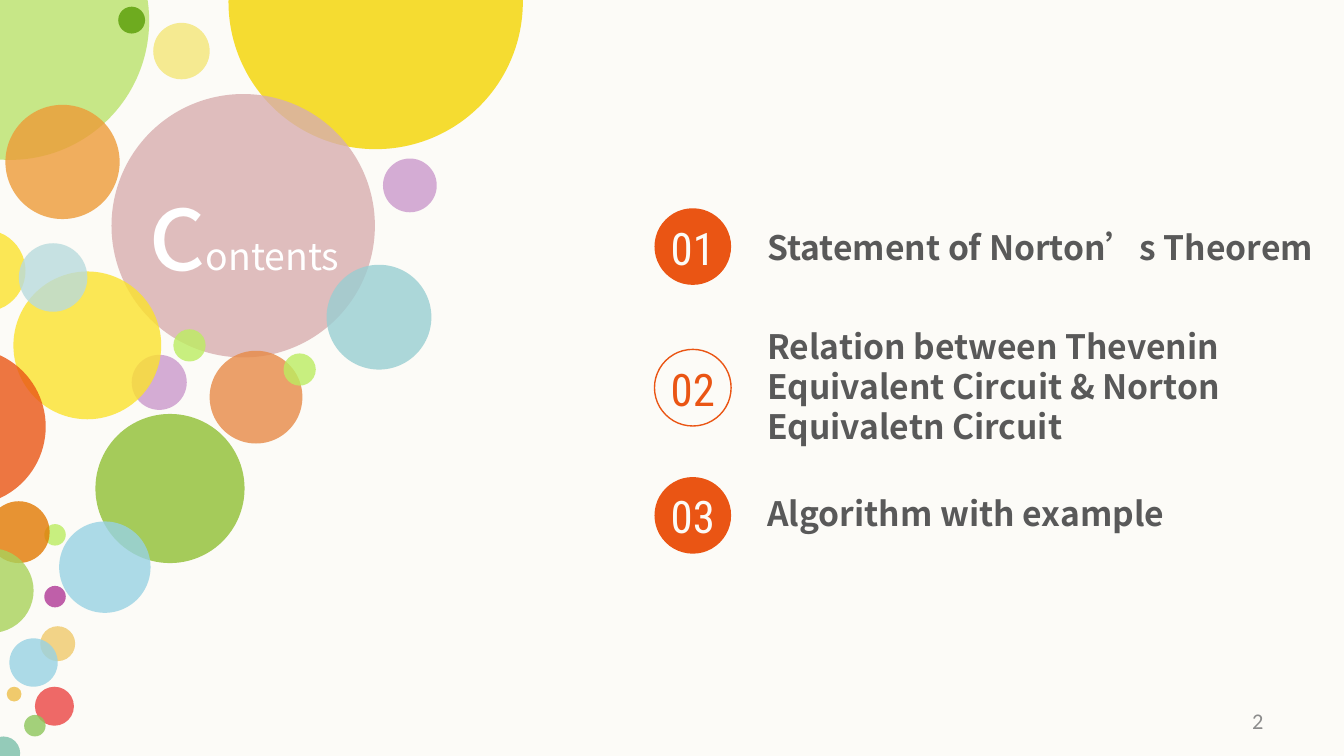
import pptx
import pptx.dml.color
import pptx.enum.shapes
import pptx.enum.text
import pptx.oxml.ns
import pptx.util
from lxml import etree
from pptx.dml.color import RGBColor
from pptx.util import Inches

BACKGROUND = RGBColor(0xFC, 0xFB, 0xF7)
WHITE = RGBColor(0xFF, 0xFF, 0xFF)
ORANGE = RGBColor(0xEA, 0x55, 0x14)
DARK_GREY = RGBColor(0x59, 0x59, 0x59)
PAGE_GREY = RGBColor(0x8C, 0x8C, 0x8C)
LIME = RGBColor(0xBC, 0xED, 0x61)
SOFT_LIME = RGBColor(0xBA, 0xE3, 0x6B)
LEAF = RGBColor(0x6E, 0xAB, 0x1F)
GRASS = RGBColor(0xA5, 0xCB, 0x5A)
LIGHT_GRASS = RGBColor(0xA9, 0xD2, 0x5A)
GREEN = RGBColor(0x8D, 0xC6, 0x5B)
SEA_GREEN = RGBColor(0x7B, 0xBF, 0xAA)
APRICOT = RGBColor(0xED, 0x9B, 0x38)
COPPER = RGBColor(0xE7, 0x8A, 0x47)
AMBER = RGBColor(0xE2, 0x79, 0x02)
CREAM = RGBColor(0xF5, 0xEA, 0x91)
GOLD = RGBColor(0xF4, 0xD5, 0x00)
YELLOW = RGBColor(0xFB, 0xE2, 0x2D)
SAND = RGBColor(0xF0, 0xCA, 0x6C)
ROSE = RGBColor(0xD8, 0xAE, 0xAF)
LILAC = RGBColor(0xCB, 0x99, 0xCC)
PURPLE = RGBColor(0xB0, 0x38, 0x96)
RED = RGBColor(0xEB, 0x45, 0x44)
TEAL = RGBColor(0x99, 0xCE, 0xD2)
PALE_TEAL = RGBColor(0xB9, 0xDB, 0xDD)
SKY = RGBColor(0x98, 0xD2, 0xE3)

TEXT_FONT = "Noto Sans CJK SC"
NUMBER_FONT = "Roboto Condensed"
PAGE_FONT = "Calibri"

# Left, top, diameter, colour, opacity in percent; from back to front
BUBBLES = [
    (-0.96, -0.88, 2.07, SOFT_LIME, 80),
    (0.88, 0.05, 0.2, LEAF, 100),
    (0.04, 0.78, 0.85, APRICOT, 80),
    (1.14, 0.17, 0.42, CREAM, 100),
    (1.7, -1.08, 2.19, GOLD, 80),
    (0.83, 0.7, 1.96, ROSE, 80),
    (2.43, 1.97, 0.78, TEAL, 80),
    (2.85, 1.18, 0.4, LILAC, 80),
    (1.56, 2.61, 0.69, COPPER, 80),
    (0.71, 3.08, 1.11, GRASS, 100),
    (2.11, 2.63, 0.24, LIME, 80),
    (1.29, 2.45, 0.24, LIME, 80),
    (0.98, 2.64, 0.41, LILAC, 80),
    (0.1, 2.02, 1.1, YELLOW, 80),
    (-0.42, 1.71, 0.61, YELLOW, 80),
    (0.33, 3.9, 0.16, LIME, 80),
    (0.33, 4.36, 0.16, PURPLE, 80),
    (0.3, 4.66, 0.26, SAND, 80),
    (0.05, 5.11, 0.11, SAND, 100),
    (-0.1, 5.48, 0.25, SEA_GREEN, 80),
    (0.26, 5.11, 0.29, RED, 80),
    (0.18, 5.32, 0.16, GREEN, 80),
    (0.07, 4.75, 0.36, SKY, 80),
    (0.14, 1.81, 0.51, PALE_TEAL, 80),
    (0.44, 3.88, 0.68, SKY, 80),
    (-0.09, 3.73, 0.46, AMBER, 80),
    (-0.38, 4.08, 0.63, LIGHT_GRASS, 80),
    (-0.83, 2.59, 1.17, ORANGE, 80),
]

# Number, wording, top of the circle, offset of the text, text width and height, filled
ENTRIES = [
    ("01", "Statement of Norton’s Theorem", 1.55, 0.14, 4.2, 0.3, True),
    ("02", "Relation between Thevenin Equivalent Circuit & Norton Equivaletn Circuit",
     2.6, -0.17, 4.07, 0.91, False),
    ("03", "Algorithm with example", 3.55, 0.12, 4.01, 0.3, True),
]


def add_circle(slide, left, top, diameter, fill=None, opacity=100, line=None):
    shape = slide.shapes.add_shape(
        pptx.enum.shapes.MSO_SHAPE.OVAL,
        Inches(left), Inches(top), Inches(diameter), Inches(diameter))
    shape.shadow.inherit = False
    if fill is None:
        shape.fill.background()
    else:
        shape.fill.solid()
        shape.fill.fore_color.rgb = fill
        if opacity < 100:
            color = shape.fill._xPr.find(".//" + pptx.oxml.ns.qn("a:srgbClr"))
            alpha = etree.SubElement(color, pptx.oxml.ns.qn("a:alpha"))
            alpha.set("val", str(opacity * 1000))
    if line is None:
        shape.line.fill.background()
    else:
        shape.line.color.rgb = line
        shape.line.width = pptx.util.Pt(0.75)


def add_text(slide, box, runs, font, color, align="LEFT", bold=False, line_points=None):
    """Place one paragraph; runs is a list of (text, size) pairs."""
    text_box = slide.shapes.add_textbox(*[Inches(length) for length in box])
    frame = text_box.text_frame
    frame.word_wrap = True
    frame.margin_left = frame.margin_right = frame.margin_top = frame.margin_bottom = 0
    paragraph = frame.paragraphs[0]
    paragraph.alignment = getattr(pptx.enum.text.PP_ALIGN, align)
    if line_points:
        paragraph.line_spacing = pptx.util.Pt(line_points)
    for text, size in runs:
        run = paragraph.add_run()
        run.text = text
        run.font.name = font
        run.font.size = pptx.util.Pt(size)
        run.font.bold = bold
        run.font.color.rgb = color
        east_asian = etree.SubElement(run.font._element, pptx.oxml.ns.qn("a:ea"))
        east_asian.set("typeface", font)
    return frame


def add_bubbles(slide):
    for left, top, diameter, color, opacity in BUBBLES:
        add_circle(slide, left, top, diameter, color, opacity)


def add_title(slide, box):
    add_text(slide, box, [("c", 60), ("ontents", 20)], TEXT_FONT, WHITE,
             "CENTER", line_points=72)


def add_entry(slide, left, entry):
    number, wording, top, text_offset, width, height, filled = entry
    diameter = 0.57
    if filled:
        add_circle(slide, left, top, diameter, fill=ORANGE)
    else:
        add_circle(slide, left, top, diameter, line=ORANGE)
    add_text(slide, (left, top + 0.09, diameter, 0.4), [(number, 24)], NUMBER_FONT,
             BACKGROUND if filled else ORANGE, "CENTER")
    add_text(slide, (left + 0.84, top + text_offset, width, height), [(wording, 18)],
             TEXT_FONT, DARK_GREY, bold=True, line_points=21.4)


def add_page_number(slide, box):
    frame = add_text(slide, box, [("2", 12)], PAGE_FONT, PAGE_GREY, "RIGHT")
    frame.margin_right = Inches(0.1)
    frame.vertical_anchor = pptx.enum.text.MSO_ANCHOR.MIDDLE


def main():
    presentation = pptx.Presentation()
    presentation.slide_width = Inches(10)
    presentation.slide_height = presentation.slide_width * 9 // 16
    slide = presentation.slides.add_slide(presentation.slide_layouts[6])
    slide.background.fill.solid()
    slide.background.fill.fore_color.rgb = BACKGROUND
    add_bubbles(slide)
    add_title(slide, (1.06, 1.18, 1.51, 1.01))
    for entry in ENTRIES:
        add_entry(slide, 4.87, entry)
    add_page_number(slide, (7.17, 5.21, 2.33, 0.3))
    presentation.save("out.pptx")


if __name__ == "__main__":
    main()
